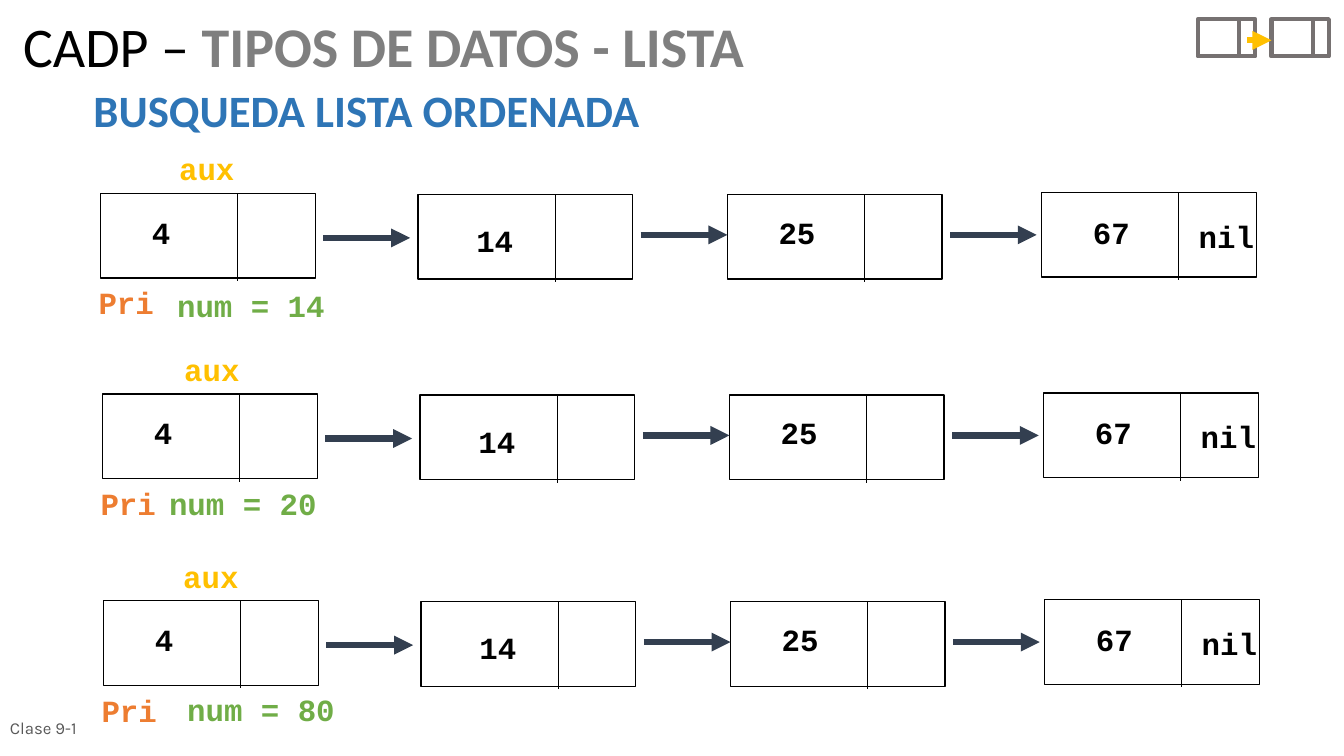
from pptx import Presentation
from pptx.dml.color import RGBColor
from pptx.enum.shapes import MSO_CONNECTOR as Conn, MSO_SHAPE as Kind
from pptx.enum.text import MSO_ANCHOR as Anchor, MSO_AUTO_SIZE as Fit, PP_ALIGN as Align
from pptx.oxml.ns import qn
from pptx.util import Pt
from lxml.etree import SubElement

PX = 9144  # 100 px to the inch
BLACK = RGBColor(0, 0, 0)
GRAY = RGBColor(0x7F, 0x7F, 0x7F)
STEEL = RGBColor(0x76, 0x71, 0x71)
SLATE = RGBColor(0x59, 0x59, 0x59)
NAVY = RGBColor(0x33, 0x3F, 0x50)
BLUE = RGBColor(0x2E, 0x75, 0xB6)
GOLD = RGBColor(0xFF, 0xC0, 0x00)
ORANGE = RGBColor(0xED, 0x7D, 0x31)
GREEN = RGBColor(0x70, 0xAD, 0x47)

# Node: offset in the row, value, offset of the value in the node
NODES = [
    (0, 0, "4", 41, 15),
    (315, 1, "14", 48, 22),
    (622, 1, "25", 41, 14),
    (934, -1, "67", 41, 16),
]
ARROWS = [(221, 44), (536, 41), (843, 41)]
# Row: left, top, offset of aux, sought number, its offset
ROWS = [
    (100, 192, 68, 14, 62, 88),
    (102, 391, 71, 20, 52, 85),
    (103, 596, 69, 80, 69, 84),
]


def emu(*vals):
    return [v * PX for v in vals]


def style(font, name, size, color, bold=False):
    font.name, font.size, font.bold = name, Pt(size), bold
    font.color.rgb = color


def label(slide, box, text, color, size=22, name="Courier New", bold=True,
          align=Align.LEFT, anchor=Anchor.TOP):
    frame = slide.shapes.add_textbox(*emu(*box)).text_frame
    frame.word_wrap = True
    frame.vertical_anchor = anchor
    para = frame.paragraphs[0]
    para.text, para.alignment = text, align
    style(para.font, name, size, color, bold)


def rect(slide, box, color, width):
    shape = slide.shapes.add_shape(Kind.RECTANGLE, *emu(*box))
    shape.shadow.inherit = False
    shape.fill.background()
    shape.line.color.rgb, shape.line.width = color, Pt(width)


def line(slide, ends, color, width, arrow=False):
    item = slide.shapes.add_connector(Conn.STRAIGHT, *emu(*ends))
    item.line.color.rgb, item.line.width = color, Pt(width)
    props = item._element.spPr
    if arrow:
        SubElement(props.find(qn("a:ln")), qn("a:tailEnd"), type="triangle")
    SubElement(props, qn("a:effectLst"))


def cell(slide, box, split, drop, color, width, thin):
    """A list node: a box with a divider that runs past its foot."""
    left, top, _, high = box
    rect(slide, box, color, width)
    line(slide, (left + split, top, left + split, top + high + drop), color, thin)


def header(slide, left, top, width, height):
    title = slide.shapes.title
    title.left, title.top, title.width, title.height = emu(left, top, width, height)
    frame = title.text_frame
    frame.auto_size, frame.word_wrap = Fit.NONE, True
    frame.vertical_anchor = Anchor.TOP
    para = frame.paragraphs[0]
    para.alignment, para.line_spacing = Align.LEFT, 0.9
    for text, color, bold in (("CADP – ", BLACK, False),
                              ("TIPOS DE DATOS - LISTA", GRAY, True)):
        run = para.add_run()
        run.text = text
        style(run.font, "Calibri", 40, color, bold)
    label(slide, (left + 70, top + 63, 654, 64), "BUSQUEDA LISTA ORDENADA",
          BLUE, 32, "Calibri")


def icon(slide, left, top):
    for step in (0, 73):
        cell(slide, (left + step, top, 57, 37), 41, 1, STEEL, 3, 3)
    line(slide, (left + 49, top + 21, left + 73, top + 21), GOLD, 4.5, True)


def chain(slide, left, top, aux, num, numx, numy):
    # Nodes and their values
    for dx, dy, value, tx, ty in NODES:
        x, y = left + dx, top + dy
        cell(slide, (x, y, 213, 84), 136, 3, BLACK, 1, 0.5)
        label(slide, (x + tx, y + ty, 24 + 20 * len(value), 47), value, BLACK)
    label(slide, (x + 146, y + 20, 80, 47), "nil", BLACK)
    # Links
    for dx, dy in ARROWS:
        x, y = left + dx, top + dy
        line(slide, (x, y, x + 86, y), NAVY, 4.5, True)
    # Pointers and sought number
    label(slide, (left + aux, top - 48, 94, 47), "aux", GOLD)
    label(slide, (left - 12, top + 85, 94, 47), "Pri", ORANGE)
    label(slide, (left + numx, top + numy, 174, 47), f"num = {num}", GREEN,
          align=Align.CENTER)


def main():
    deck = Presentation()
    deck.slide_width, deck.slide_height = emu(1334, 750)
    slide = deck.slides.add_slide(deck.slide_layouts[5])
    header(slide, 13, 14, 874, 76)
    icon(slide, 1189, 19)
    for row in ROWS:
        chain(slide, *row)
    # Footer
    label(slide, (0, 702, 233, 40), "Clase 9-1", SLATE, 12, "Karla", False,
          anchor=Anchor.MIDDLE)
    deck.save("out.pptx")


if __name__ == "__main__":
    main()
